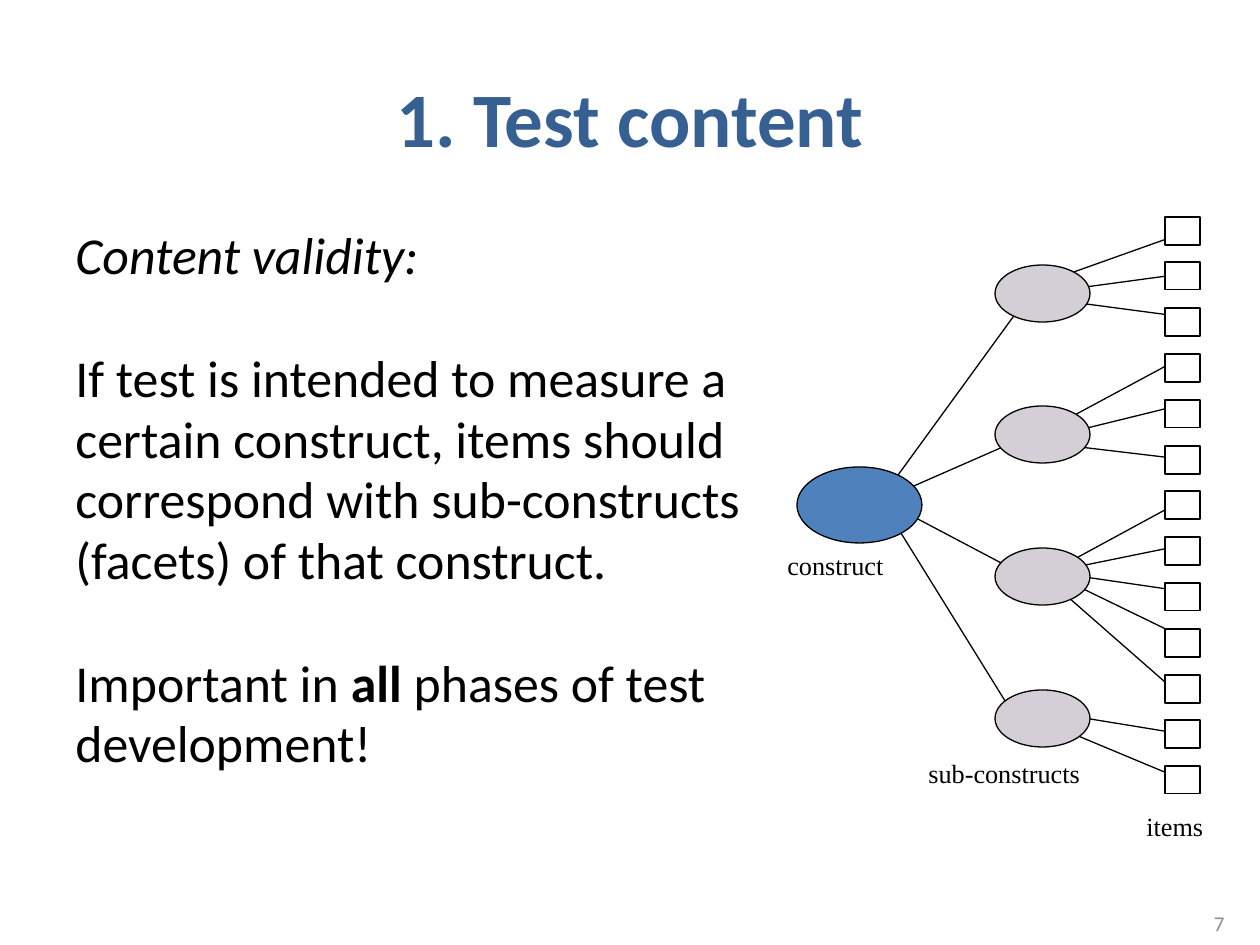
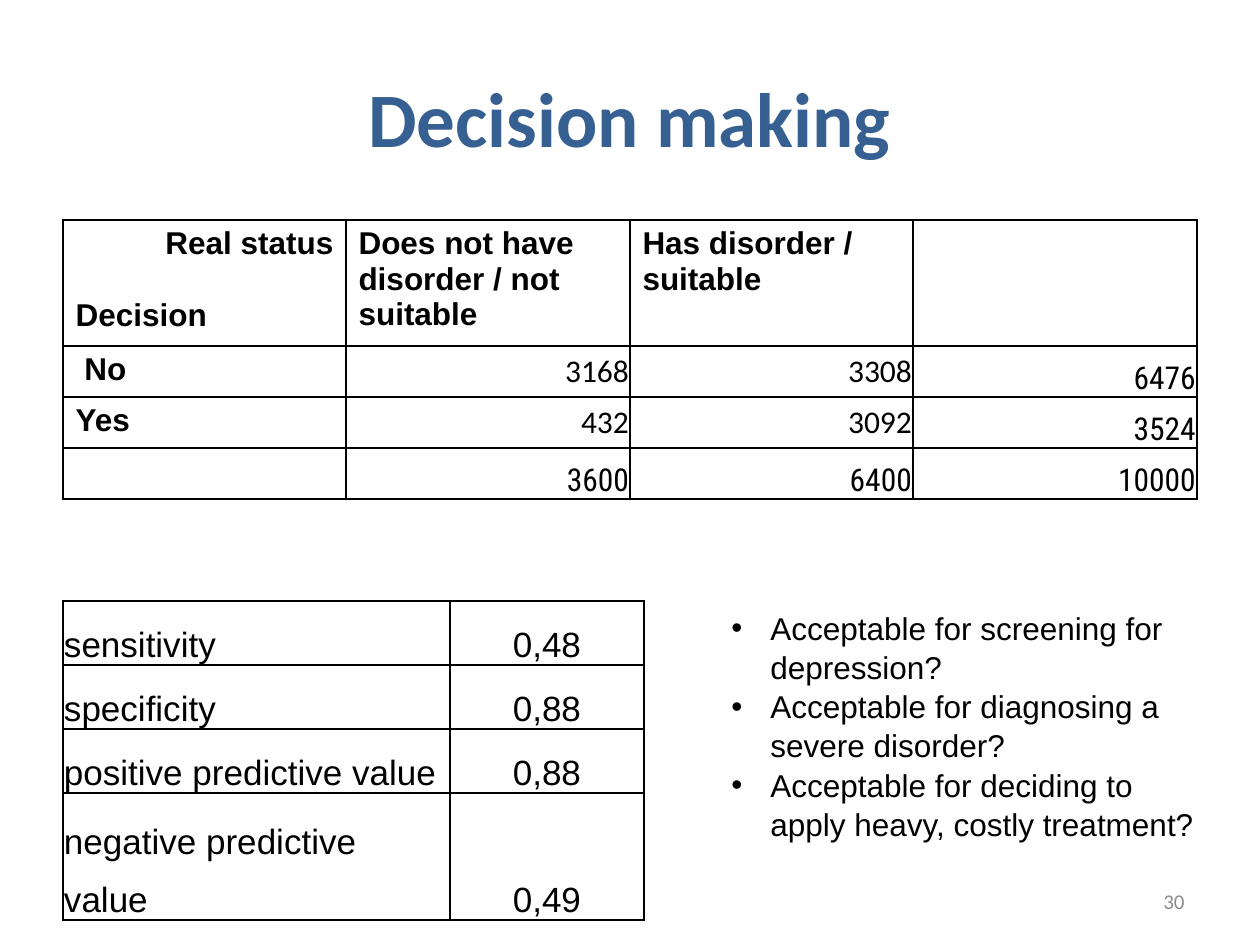
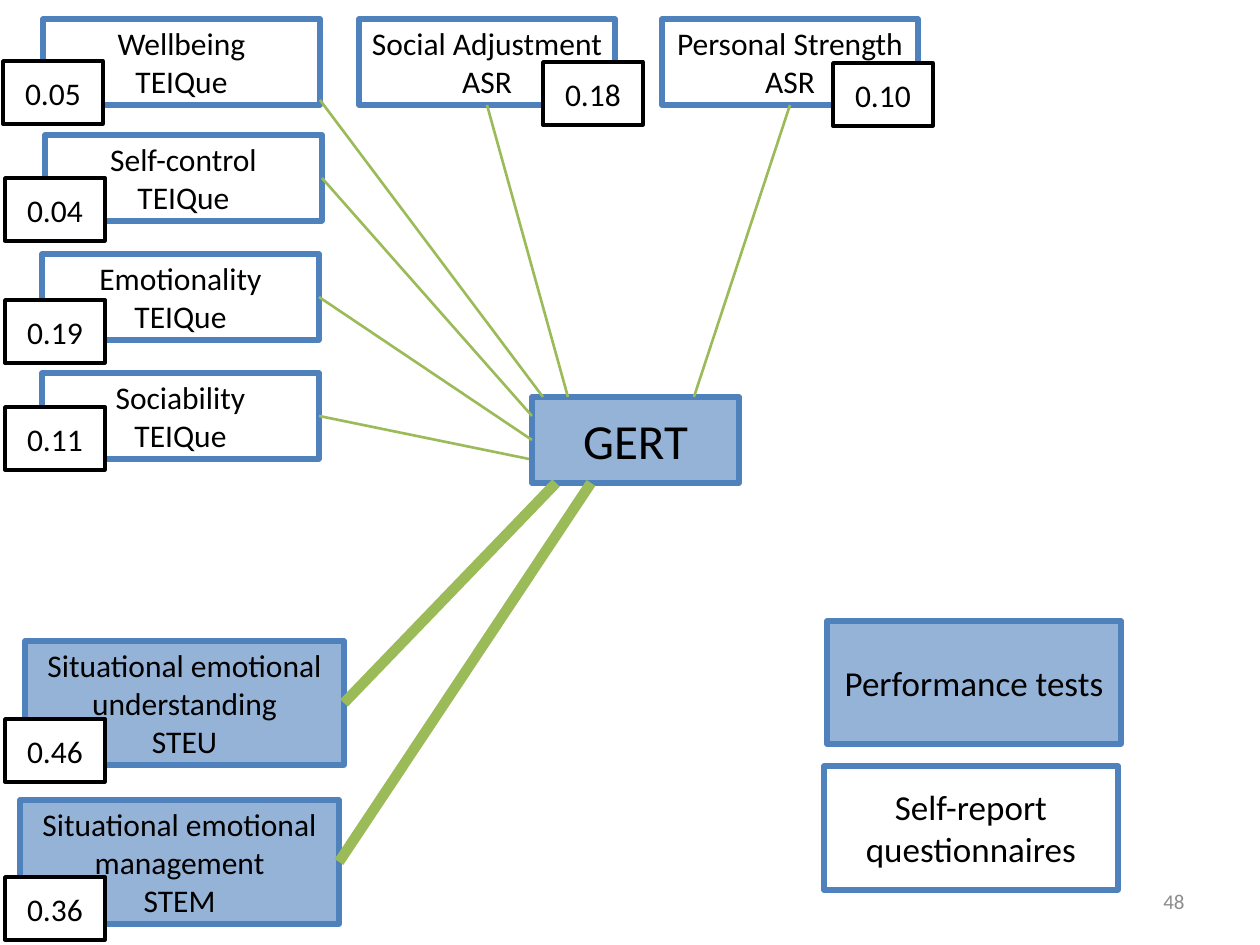
"""Build three slides on test content, decision making and test links."""
from dataclasses import dataclass

from lxml.etree import SubElement
from pptx import Presentation
from pptx.dml.color import RGBColor
from pptx.enum.shapes import MSO_CONNECTOR, MSO_SHAPE
from pptx.enum.text import MSO_ANCHOR, PP_ALIGN
from pptx.oxml.ns import qn
from pptx.util import Pt

PX = 7257


@dataclass(frozen=True)
class Theme:
    """Colours, fonts and type sizes."""
    ink: str = "000000"
    paper: str = "FFFFFF"
    head: str = "376092"
    gray: str = "8C8C8C"
    blue: str = "4F81BD"
    pale: str = "95B3D7"
    mauve: str = "D4CED6"
    green: str = "9BBB59"
    main: str = "Calibri"
    sans: str = "Arial"
    slim: str = "Roboto Condensed"
    serif: str = "Times New Roman"
    title: float = 44
    body: float = 29.6
    hub: float = 28
    large: float = 20
    text: float = 18
    label: float = 15
    page: float = 12


T = Theme()


def write(host, text, spot=None, size=T.text, font=T.main, hue=T.ink, bold=False,
          align=PP_ALIGN.LEFT, line=None, after=0, anchor=None):
    """Fill a host, or a new text box at spot, with lines; *stars* mark bold."""
    if spot:
        host = host.shapes.add_textbox(*[n * PX for n in spot])
        host.text_frame.word_wrap = True
    frame = host.text_frame
    if anchor is not None:
        frame.vertical_anchor = anchor
    for i, words in enumerate(text.split("\n")):
        para = frame.add_paragraph() if i else frame.paragraphs[0]
        para.alignment = align
        para.space_after = Pt(after)
        if line:
            para.line_spacing = line
        for j, part in enumerate(words.split("*")):
            run = para.add_run()
            run.text = part
            run.font.size = Pt(size)
            run.font.name = font
            run.font.bold = bold or j % 2 == 1
            run.font.color.rgb = RGBColor.from_string(hue)
    return frame


def draw(slide, spot, hue, width, fill=None, kind=MSO_SHAPE.RECTANGLE):
    """Draw a filled shape, or a straight connector where there is no fill."""
    spot = [n * PX for n in spot]
    if fill:
        item = slide.shapes.add_shape(kind, *spot)
        item.shadow.inherit = False
        item.fill.solid()
        item.fill.fore_color.rgb = RGBColor.from_string(fill)
    else:
        item = slide.shapes.add_connector(MSO_CONNECTOR.STRAIGHT, *spot)
    item.line.color.rgb = RGBColor.from_string(hue)
    item.line.width = Pt(width)
    if not fill:
        SubElement(item._element.spPr, qn("a:effectLst"))
    return item


deck = Presentation()
deck.slide_width, deck.slide_height = 1260 * PX, 945 * PX

slides = []
low = (903, 876, 294, 50)
for title, page, spot in (("1. Test content", "7", (273, 898, 964, 50)),
                          ("Decision making", "30", low), (None, "48", low)):
    slide = deck.slides.add_slide(deck.slide_layouts[5 if title else 6])
    slides.append(slide)
    if title:
        head = slide.shapes.title
        head.left, head.top, head.width, head.height = [n * PX for n in (63, 38, 1134, 157)]
        write(head, title, size=T.title, hue=T.head, bold=True,
              align=PP_ALIGN.CENTER, anchor=MSO_ANCHOR.MIDDLE)
    write(slide, page, spot, size=T.page, hue=T.gray,
          align=PP_ALIGN.RIGHT, anchor=MSO_ANCHOR.MIDDLE)
content, choice, links = slides

body = write(content, "Content validity:\n"
             "If test is intended to measure a certain construct, items should "
             "correspond with sub-constructs (facets) of that construct.\n"
             "Important in *all* phases of test development!",
             (63, 220, 700, 624), size=T.body, line=0.98, after=35)
body.paragraphs[0].runs[0].font.italic = True

for spot in (
    (885, 493, 1024, 302), (907, 489, 1037, 432), (897, 508, 1024, 575), (883, 504, 1007, 704),
    (1071, 273, 1189, 231), (1071, 289, 1189, 273), (1071, 302, 1177, 316),
    (1071, 417, 1177, 360), (1071, 432, 1189, 403), (1071, 446, 1189, 460),
    (1071, 561, 1176, 504), (1071, 568, 1174, 547), (1071, 575, 1174, 590),
    (1071, 583, 1174, 633), (1060, 590, 1173, 689),
    (1084, 718, 1176, 733), (1071, 733, 1174, 776),
):
    draw(content, spot, T.ink, 0.75)
draw(content, (797, 467, 125, 76), T.ink, 0.75, T.blue, MSO_SHAPE.OVAL)
for i in range(4):
    draw(content, (995, 265 + i * 425 // 3, 95, 57), T.ink, 0.75, T.mauve, MSO_SHAPE.OVAL)
for i in range(13):
    draw(content, (1165, 217 + i * 229 // 5, 35, 28), T.ink, 0.75, T.paper)
for label, spot in (("construct", (775, 543, 164, 64)),
                    ("sub-constructs", (916, 751, 248, 54)),
                    ("items", (1134, 804, 106, 64))):
    write(content, label, spot, size=T.label, font=T.serif)

looks = {
    "h": dict(font=T.sans, bold=True),
    "m": dict(align=PP_ALIGN.RIGHT),
    "t": dict(font=T.slim, align=PP_ALIGN.RIGHT),
    "n": dict(font=T.sans, size=T.large, line=1.5),
    "v": dict(font=T.sans, size=T.large, line=1.5, align=PP_ALIGN.CENTER),
}
anchors = {"h": MSO_ANCHOR.TOP, "m": MSO_ANCHOR.MIDDLE}
status = [
    ["Real status\nDecision", "Does not have disorder / not suitable", "Has disorder / suitable", ""],
    [" No", "3168", "3308", "6476"],
    ["Yes", "432", "3092", "3524"],
    ["", "3600", "6400", "10000"],
]
rates = [
    ["sensitivity", "0,48"],
    ["specificity", "0,88"],
    ["positive predictive value", "0,88"],
    ["negative predictive value", "0,49"],
]
grids = []
for data, keys, place, wide, tall in (
    (status, ("hhhh", "hmmt", "hmmt", "httt"), (63, 220), (283, 284, 283, 284), (122, 51, 51, 51)),
    (rates, ("nv",) * 4, (63, 601), (387, 194), (60, 60, 60, 118)),
):
    spot = [n * PX for n in (*place, sum(wide), sum(tall))]
    grid = choice.shapes.add_table(len(tall), len(wide), *spot).table
    grid.first_row = grid.horz_banding = False
    grids.append(grid)
    for col, width in zip(grid.columns, wide):
        col.width = width * PX
    for r, height in enumerate(tall):
        grid.rows[r].height = height * PX
        for c, key in enumerate(keys[r]):
            cell = grid.cell(r, c)
            cell.vertical_anchor = anchors.get(key, MSO_ANCHOR.BOTTOM)
            if key != "h":
                cell.margin_left = cell.margin_right = cell.margin_top = PX
                cell.margin_bottom = 0
            props = cell._tc.get_or_add_tcPr()
            for side in "LRTB":
                edge = SubElement(props, qn("a:ln" + side), w=str(Pt(1)))
                paint = SubElement(edge, qn("a:solidFill"))
                SubElement(paint, qn("a:srgbClr"), val=T.ink)
            cell.fill.background()
            if data[r][c]:
                write(cell, data[r][c], **looks[key])
first = grids[0].cell(0, 0).text_frame.paragraphs[0]
first.alignment = PP_ALIGN.RIGHT
first.space_after = Pt(21)

asks = write(choice, "Acceptable for screening for depression?\n"
             "Acceptable for diagnosing a severe disorder?\n"
             "Acceptable for deciding to apply heavy, costly treatment?",
             (719, 601, 496, 242), font=T.sans, line=1.04)
for para in asks.paragraphs:
    props = para._p.get_or_add_pPr()
    props.set("marL", str(39 * PX))
    props.set("indent", str(-39 * PX))
    SubElement(props, qn("a:buFont"), typeface=T.sans)
    SubElement(props, qn("a:buChar"), char="•")

mid = dict(align=PP_ALIGN.CENTER, anchor=MSO_ANCHOR.MIDDLE)
hub = draw(links, (532, 397, 207, 86), T.blue, 3, T.pale)
write(hub, "GERT", size=T.hub, **mid)
small, short, big = (277, 86), (256, 86), (319, 124)
for name, place, size, score, mark, start, side in (
    ("Wellbeing\nTEIQue", (43, 19), small, "0.05", (3, 61), (543, 397), None),
    ("Self-control\nTEIQue", (45, 135), small, "0.04", (5, 178), (532, 416), 3),
    ("Emotionality\nTEIQue", (42, 254), small, "0.19", (5, 300), (532, 440), 3),
    ("Sociability\nTEIQue", (42, 373), small, "0.11", (5, 407), (529, 459), 3),
    ("Social Adjustment\nASR", (359, 19), short, "0.18", (543, 62), (568, 397), 2),
    ("Personal Strength\nASR", (662, 19), short, "0.10", (833, 63), (694, 397), 2),
    ("Situational emotional understanding\nSTEU", (25, 641), big, "0.46", (5, 719), (556, 483), 3),
    ("Situational emotional management\nSTEM", (20, 800), big, "0.36", (5, 877), (591, 483), 3),
):
    heavy = size == big
    box = draw(links, place + size, T.blue, 3, T.pale if heavy else T.paper)
    write(box, name, **mid)
    tie = draw(links, start + (320, 100), T.green, 6 if heavy else 1.5)
    if side:
        tie.end_connect(box, side)
    if start == (532, 440):
        tie.begin_connect(hub, 1)
    write(draw(links, mark + (100, 63), T.ink, 2, T.paper), score, **mid)

for name, spot, fill in (("Performance tests", (827, 621, 294, 123), T.pale),
                         ("Self-report questionnaires", (824, 766, 294, 124), T.paper)):
    write(draw(links, spot, T.blue, 3, fill), name, size=T.large, **mid)

deck.save("out.pptx")
